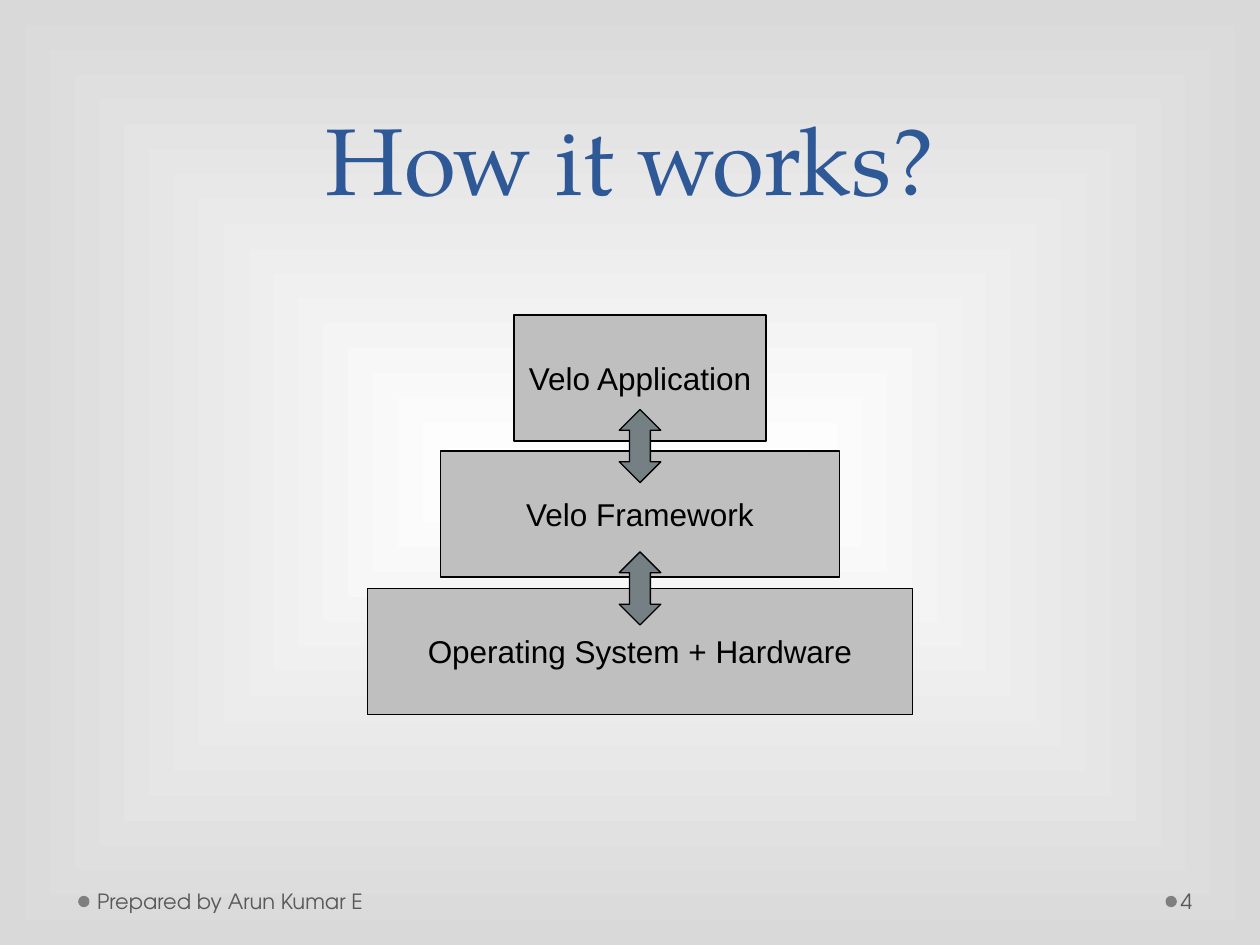
from lxml import etree
from pptx import Presentation
from pptx.dml.color import RGBColor
from pptx.enum.shapes import MSO_SHAPE
from pptx.enum.text import MSO_ANCHOR, PP_ALIGN
from pptx.oxml.ns import qn
from pptx.util import Inches, Pt

RECTANGLE = MSO_SHAPE.RECTANGLE
OVAL = MSO_SHAPE.OVAL
DOUBLE_ARROW = MSO_SHAPE.UP_DOWN_ARROW
MIDDLE = MSO_ANCHOR.MIDDLE
BOTTOM = MSO_ANCHOR.BOTTOM
LEFT = PP_ALIGN.LEFT
CENTER = PP_ALIGN.CENTER

COLORS = {
    "center": "FFFFFF",
    "edge": "D9D9D9",
    "title": "2F5897",
    "layer": "BFBFBF",
    "arrow": "758085",
    "outline": "000000",
    "dot": "7F7F7F",
    "footer": "595959",
}


def add_figure(kind, left, top, width, height, fill, outlined=True):
    shape = page.shapes.add_shape(
        kind, Inches(left), Inches(top), Inches(width), Inches(height))
    shape.shadow.inherit = False
    shape.fill.solid()
    shape.fill.fore_color.rgb = RGBColor.from_string(COLORS[fill])
    if outlined:
        shape.line.color.rgb = RGBColor.from_string(COLORS["outline"])
        shape.line.width = Pt(0.75)
    else:
        shape.line.fill.background()
    return shape


def write(box, text, font, size, color, align, anchor, wrap=True):
    frame = box.text_frame
    frame.word_wrap = wrap
    frame.vertical_anchor = anchor
    para = frame.paragraphs[0]
    para.text = text
    para.alignment = align
    para.font.name = font
    para.font.size = Pt(size)
    para.font.color.rgb = RGBColor.from_string(COLORS[color])
    return frame


deck = Presentation()
deck.slide_width = Inches(10)
deck.slide_height = Inches(7.5)
page = deck.slides.add_slide(deck.slide_layouts[6])

backdrop = page.background.fill
backdrop.gradient()
for stop, name in zip(backdrop.gradient_stops, ("center", "edge")):
    stop.color.rgb = RGBColor.from_string(COLORS[name])
gradient = page.element.find(".//" + qn("a:gradFill"))
gradient.remove(gradient.find(qn("a:lin")))
radial = etree.SubElement(gradient, qn("a:path"), {"path": "rect"})
etree.SubElement(radial, qn("a:fillToRect"),
                 {side: "50000" for side in ("l", "t", "r", "b")})

footers = [
    ("Prepared by Arun Kumar E", 0.72, 3.11, 0.62, 0.05, 0.1),
    ("4", 9.34, 0.61, 9.25, 0.03, 0.05),
]
for text, left, width, dot_left, inset_left, inset_right in footers:
    add_figure(OVAL, dot_left, 7.11, 0.09, 0.09, "dot", outlined=False)
    box = page.shapes.add_textbox(
        Inches(left), Inches(6.95), Inches(width), Inches(0.4))
    frame = write(box, text, "TeX Gyre Adventor", 12, "footer", LEFT, MIDDLE)
    frame.margin_left = Inches(inset_left)
    frame.margin_right = Inches(inset_right)

title = page.shapes.add_textbox(Inches(0.5), 0, Inches(9), Inches(1.75))
frame = write(title, "How it works?", "TeX Gyre Pagella", 54, "title", CENTER, BOTTOM)
frame.paragraphs[0].line_spacing = Pt(58)

stack_center = 5.08
layers = [
    ("Operating System + Hardware", 4.67, 4.33),
    ("Velo Framework", 3.58, 3.17),
    ("Velo Application", 2.5, 2),
]
for text, top, width in layers:
    layer = add_figure(
        RECTANGLE, stack_center - width / 2, top, width, 1, "layer")
    write(layer, text, "Arial", 18, "outline", CENTER, MIDDLE, wrap=False)

for top in (3.25, 4.38):
    arrow = add_figure(
        DOUBLE_ARROW, stack_center - 0.33 / 2, top, 0.33, 0.58, "arrow")
    arrow.adjustments[0] = 0.35
    arrow.adjustments[1] = 0.5

deck.save("out.pptx")
